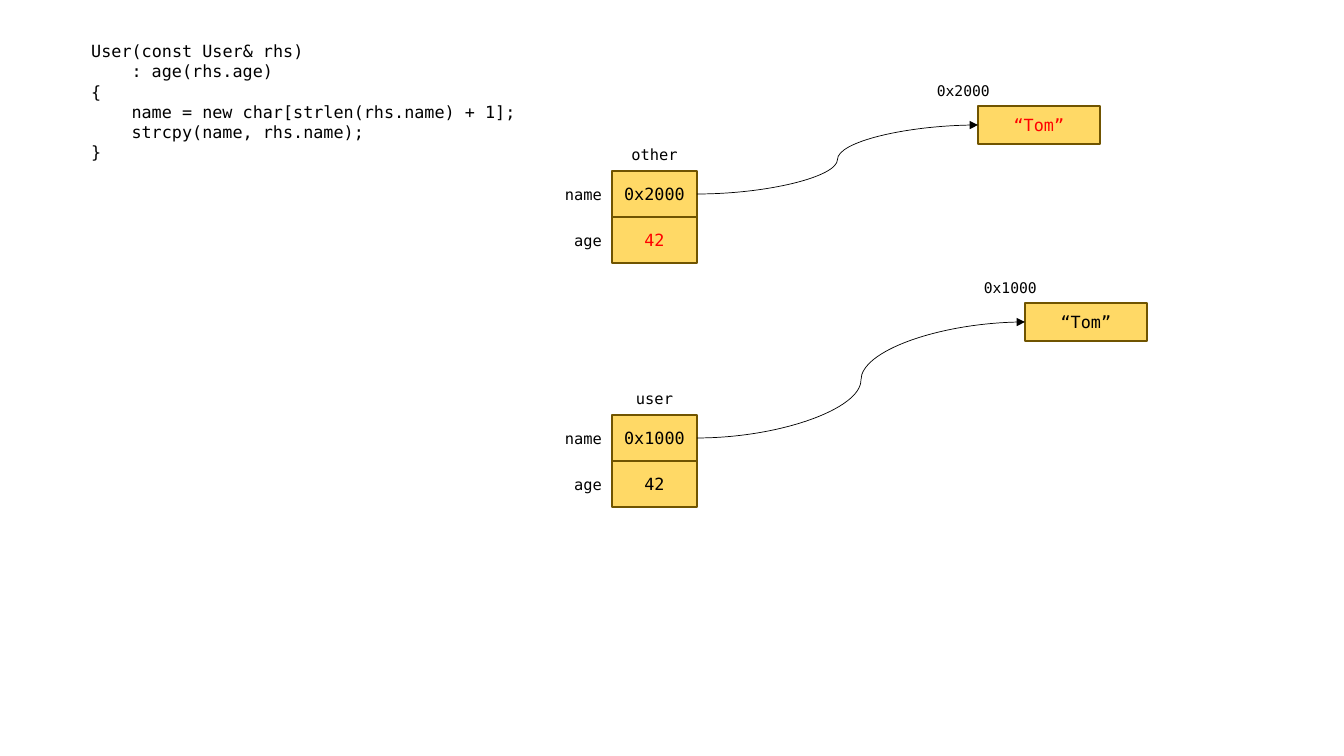
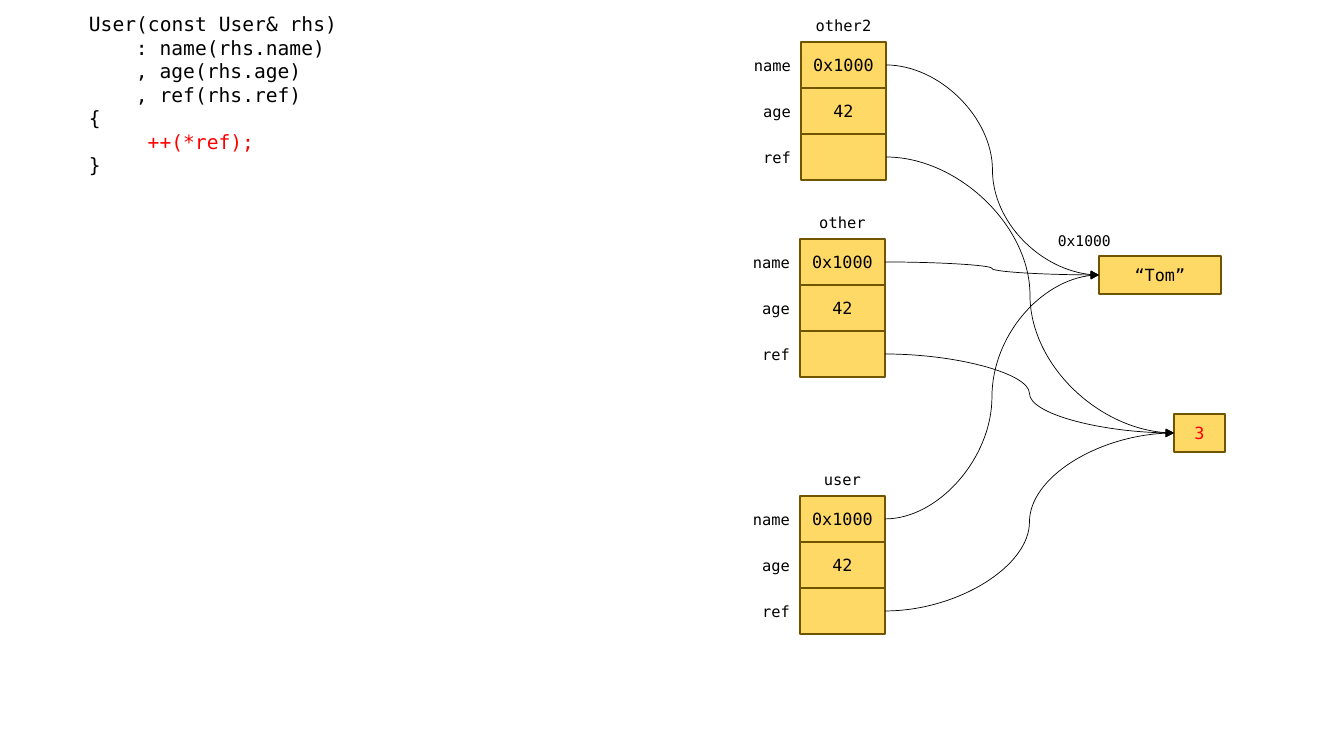
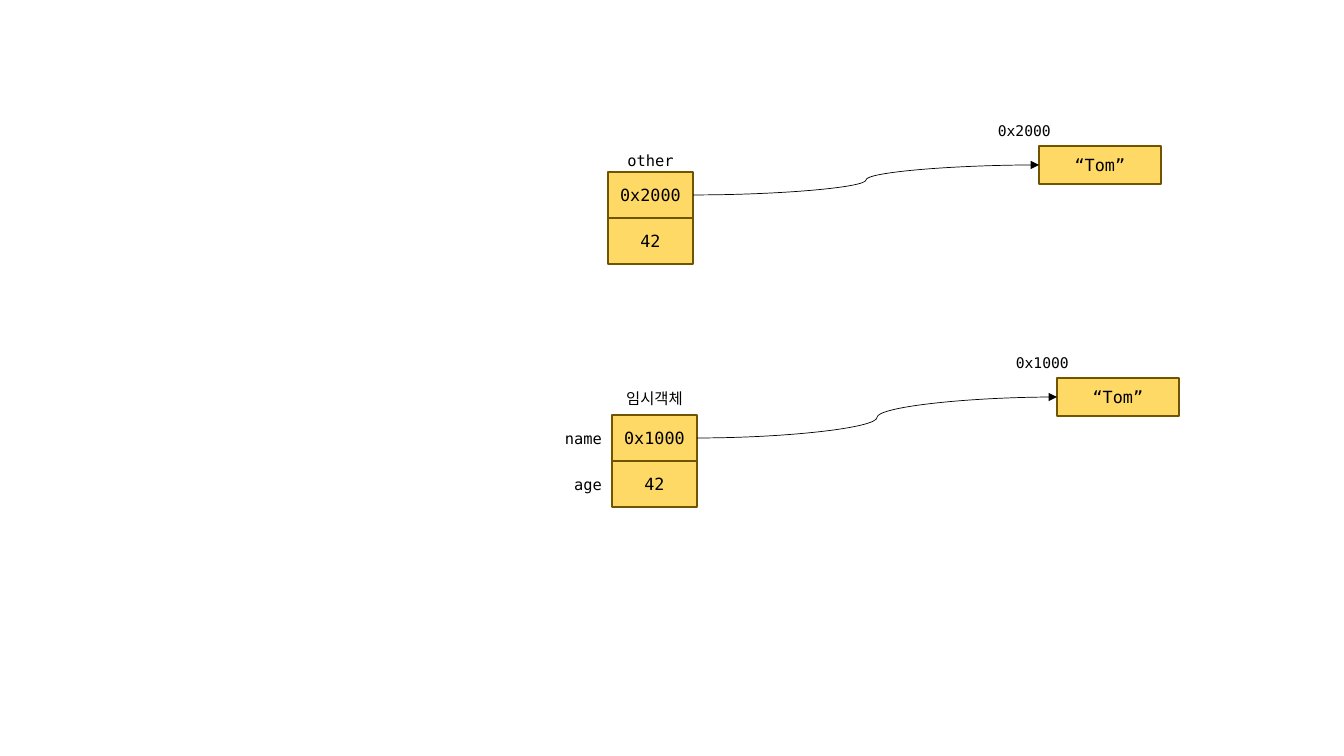
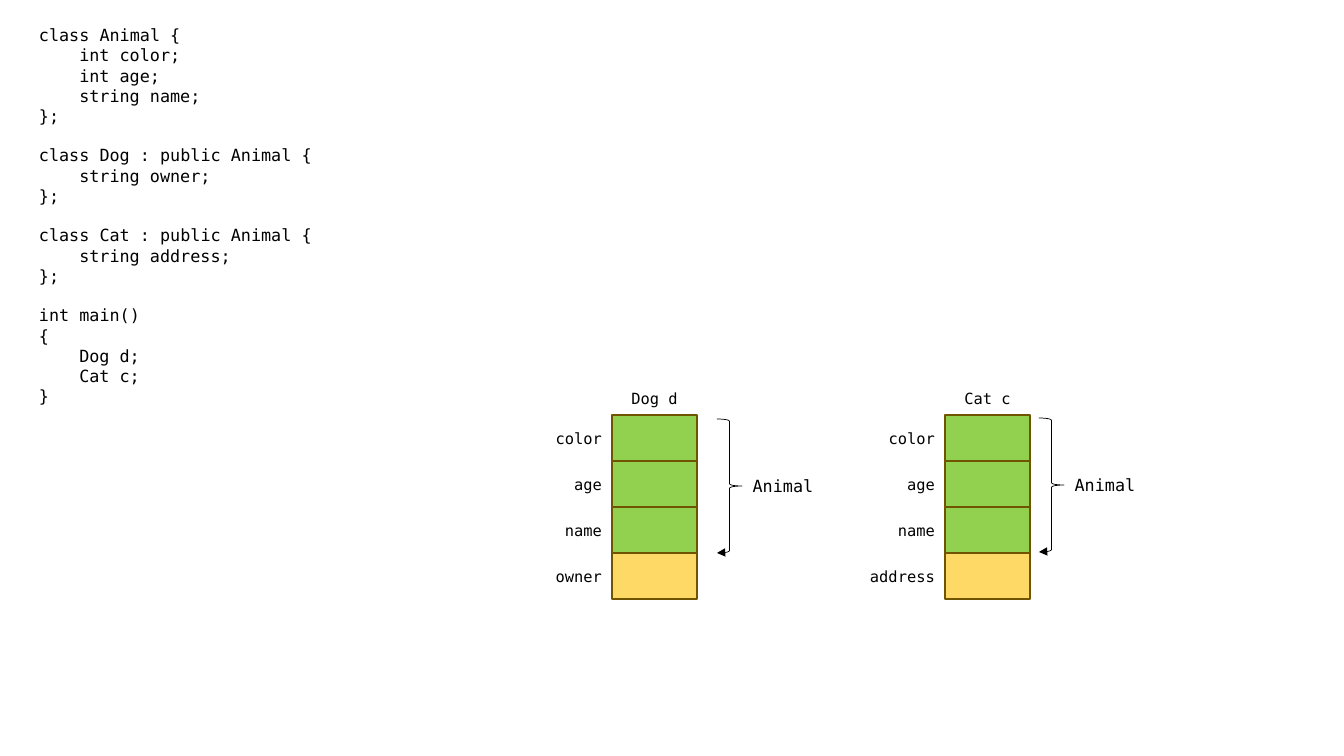
"""Four slides of memory diagrams for copied and derived objects."""
from dataclasses import dataclass

import lxml.etree
import pptx
import pptx.dml.color
import pptx.enum.shapes
import pptx.enum.text
import pptx.oxml.ns
import pptx.util

EMU_PER_PIXEL = 914400 / 100.8
ALIGN = pptx.enum.text.PP_ALIGN
SHAPE = pptx.enum.shapes.MSO_SHAPE
LEFT_SITE, RIGHT_SITE = 1, 3


@dataclass(frozen=True)
class Theme:
    """Colours, type sizes and the grid shared by all slides."""
    font: str = "DejaVu Sans Mono"
    ink: str = "000000"
    accent: str = "FF0000"
    own: str = "FFD966"
    inherited: str = "92D050"
    border: str = "705400"
    value_size: float = 12
    label_size: float = 11
    address_size: float = 10.5
    border_width: float = 1
    thin_width: float = 0.5
    character_width: float = 0.6  # share of the type size
    line_height: float = 1.16  # share of the type size
    cell_width: int = 85
    cell_height: int = 46
    label_height: int = 29


THEME = Theme()


def px(pixels):
    """Turn pixels into EMU."""
    return pptx.util.Emu(round(pixels * EMU_PER_PIXEL))


def rgb(colour):
    """Turn a hex string into a colour."""
    return pptx.dml.color.RGBColor.from_string(colour)


def style_paragraph(paragraph, text, size, colour=THEME.ink, align=ALIGN.LEFT):
    """Fill a paragraph with text in the shared font."""
    paragraph.text = text
    paragraph.alignment = align
    paragraph.font.name = THEME.font
    paragraph.font.size = pptx.util.Pt(size)
    paragraph.font.color.rgb = rgb(colour)


def style_line(shape, colour, width):
    """Set the colour and width of an outline or connector."""
    shape.line.color.rgb = rgb(colour)
    shape.line.width = pptx.util.Pt(width)


def add_arrowhead(shape):
    """Put a triangle at the end of a shape's line."""
    line = shape._element.spPr.find(pptx.oxml.ns.qn("a:ln"))
    lxml.etree.SubElement(line, pptx.oxml.ns.qn("a:tailEnd"), type="triangle")


def add_text_box(slide, left, top, width, height):
    """Add an empty wrapping text box and return its text frame."""
    box = slide.shapes.add_textbox(px(left), px(top), px(width), px(height))
    frame = box.text_frame
    frame.word_wrap = True
    frame.auto_size = pptx.enum.text.MSO_AUTO_SIZE.SHAPE_TO_FIT_TEXT
    return frame


def add_label(slide, text, left, top, width, align, size=THEME.label_size):
    """Add a one-line label."""
    frame = add_text_box(slide, left, top, width, THEME.label_height)
    style_paragraph(frame.paragraphs[0], text, size, align=align)


def add_code(slide, lines, left, top, width, height, size=THEME.value_size, marked=None):
    """Add code: leading spaces become indents, empty lines become spacing."""
    frame = add_text_box(slide, left, top, width, height)
    paragraph = frame.paragraphs[0]
    gap = 0
    for number, line in enumerate(lines):
        if not line:
            gap += THEME.line_height * size
            continue
        if number:
            paragraph = frame.add_paragraph()
        text = line.lstrip()
        style_paragraph(paragraph, text, size, THEME.accent if text == marked else THEME.ink)
        indent = pptx.util.Pt((len(line) - len(text)) * THEME.character_width * size)
        paragraph._p.get_or_add_pPr().set("marL", str(indent))
        paragraph.space_before = pptx.util.Pt(gap)
        gap = 0


def add_cell(slide, text, left, top, width=THEME.cell_width, height=THEME.cell_height,
             fill=THEME.own, colour=THEME.ink):
    """Add a bordered memory cell with a centred value."""
    cell = slide.shapes.add_shape(SHAPE.RECTANGLE, px(left), px(top), px(width), px(height))
    cell.shadow.inherit = False
    cell.fill.solid()
    cell.fill.fore_color.rgb = rgb(fill)
    style_line(cell, THEME.border, THEME.border_width)
    if text:
        cell.text_frame.vertical_anchor = pptx.enum.text.MSO_ANCHOR.MIDDLE
        style_paragraph(cell.text_frame.paragraphs[0], text, THEME.value_size, colour, ALIGN.CENTER)
    return cell


def add_object(slide, title, left, top, names, values, title_gap=31, inherited=0, marked=()):
    """Stack an object's fields under its title and return the cells."""
    add_label(slide, title, left - 7, top - title_gap, 99, ALIGN.CENTER)
    cells = []
    for row, (name, value) in enumerate(zip(names, values)):
        row_top = top + row * THEME.cell_height
        fill = THEME.inherited if row < inherited else THEME.own
        colour = THEME.accent if value in marked else THEME.ink
        cells.append(add_cell(slide, value, left, row_top, fill=fill, colour=colour))
        if name:
            width = 41 + 8 * len(name)
            add_label(slide, name, left - width, row_top + 9, width, ALIGN.RIGHT)
    return cells


def add_string(slide, address, left, top, colour=THEME.ink):
    """Add a string on the heap with its address above."""
    add_label(slide, address, left - 51, top - 29, 78, ALIGN.LEFT, THEME.address_size)
    return add_cell(slide, "“Tom”", left, top, 122, 38, colour=colour)


def add_pointer(slide, source, target):
    """Draw a curved arrow from one cell to another."""
    pointer = slide.shapes.add_connector(pptx.enum.shapes.MSO_CONNECTOR.CURVE, 0, 0, 0, 0)
    pointer.begin_connect(source, RIGHT_SITE)
    pointer.end_connect(target, LEFT_SITE)
    style_line(pointer, THEME.ink, THEME.thin_width)
    add_arrowhead(pointer)
    lxml.etree.SubElement(pointer._element.spPr, pptx.oxml.ns.qn("a:effectLst"))


def add_brace(slide, text, left, top):
    """Add a right brace with a label beside its tip."""
    brace = slide.shapes.add_shape(SHAPE.RIGHT_BRACE, px(left), px(top), px(25), px(134))
    brace.shadow.inherit = False
    brace.fill.background()
    style_line(brace, THEME.ink, THEME.thin_width)
    add_arrowhead(brace)
    add_label(slide, text, left + 13, top + 52, 106, ALIGN.CENTER, THEME.value_size)


def build_deep_copy(slide):
    """Each object owns its own string."""
    names = ("name", "age")
    user = add_object(slide, "user", 612, 415, names, ("0x1000", "42"))
    add_pointer(slide, user[0], add_string(slide, "0x1000", 1025, 303))
    other = add_object(slide, "other", 612, 171, names, ("0x2000", "42"), marked=("42",))
    add_pointer(slide, other[0], add_string(slide, "0x2000", 978, 106, THEME.accent))
    add_code(slide, (
        "    User(const User& rhs)",
        "        : age(rhs.age)",
        "    {",
        "        name = new char[strlen(rhs.name) + 1];",
        "        strcpy(name, rhs.name);",
        "    }",
    ), 41, 36, 672, 132)


def build_reference_count(slide):
    """Three objects share one string and one counter."""
    string = add_string(slide, "0x1000", 1099, 256)
    counter = add_cell(slide, "3", 1174, 414, 51, 38, colour=THEME.accent)
    for title, left, top in (("user", 800, 496), ("other", 800, 239), ("other2", 801, 42)):
        fields = add_object(slide, title, left, top, ("name", "age", "ref"), ("0x1000", "42", ""))
        add_pointer(slide, fields[0], string)
        add_pointer(slide, fields[2], counter)
    add_code(slide, (
        "    User(const User& rhs)",
        "        : name(rhs.name)",
        "        , age(rhs.age)",
        "        , ref(rhs.ref)",
        "    {",
        "         ++(*ref);",
        "    }",
    ), 32, 7, 672, 176, size=14, marked="++(*ref);")


def build_temporary(slide):
    """A temporary object beside the object copied from it."""
    temporary = add_object(slide, "임시객체", 612, 415, ("name", "age"), ("0x1000", "42"))
    add_pointer(slide, temporary[0], add_string(slide, "0x1000", 1057, 378))
    other = add_object(slide, "other", 608, 172, ("", ""), ("0x2000", "42"), title_gap=26)
    add_pointer(slide, other[0], add_string(slide, "0x2000", 1039, 146))


def build_inheritance(slide):
    """Derived objects start with the fields of their base class."""
    add_code(slide, (
        "class Animal {",
        "    int color;",
        "    int age;",
        "    string name;",
        "};",
        "",
        "class Dog : public Animal {",
        "    string owner;",
        "};",
        "",
        "class Cat : public Animal {",
        "    string address;",
        "};",
        "",
        "int main()",
        "{",
        "    Dog d;",
        "    Cat c;",
        "}",
    ), 29, 20, 376, 417)
    base = ("color", "age", "name")
    for title, left, own_field in (("Dog d", 612, "owner"), ("Cat c", 945, "address")):
        add_object(slide, title, left, 415, base + (own_field,), ("",) * 4, inherited=len(base))
    add_brace(slide, "Animal", 717, 419)
    add_brace(slide, "Animal", 1039, 418)


def main():
    """Build and save the presentation."""
    presentation = pptx.Presentation()
    presentation.slide_width, presentation.slide_height = px(1344), px(756)
    blank = presentation.slide_layouts[6]
    for build in (build_deep_copy, build_reference_count, build_temporary, build_inheritance):
        build(presentation.slides.add_slide(blank))
    presentation.save("out.pptx")


main()
